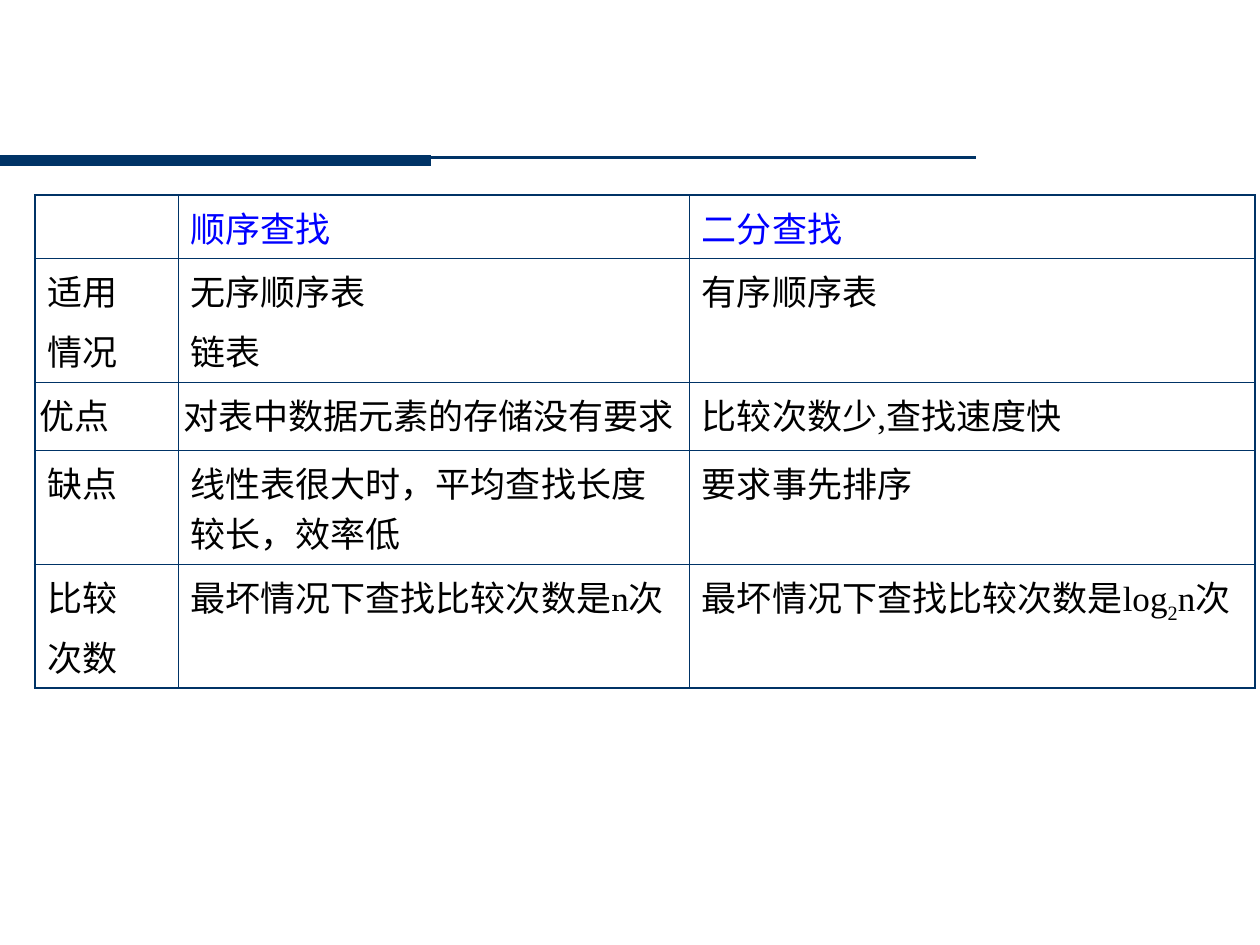
from lxml.etree import SubElement
from pptx import Presentation
from pptx.dml.color import RGBColor
from pptx.enum.shapes import MSO_CONNECTOR
from pptx.oxml.ns import qn
from pptx.util import Cm, Pt

NAVY = RGBColor(0x00, 0x33, 0x66)
BLUE = RGBColor(0x00, 0x00, 0xFF)
BLACK = RGBColor(0x00, 0x00, 0x00)
THIN, THICK = Pt(0.45), Pt(1.08)
HAN = "Noto Sans CJK SC"


def add_edge(props, side, width):
    """Give a table cell one solid navy border."""
    edge = SubElement(props, qn("a:ln" + side), w=str(width))
    fill = SubElement(edge, qn("a:solidFill"))
    SubElement(fill, qn("a:srgbClr"), val=str(NAVY))


def add_run(para, text, face, color):
    run = para.add_run()
    run.text = text
    run.font.size = Pt(20)
    run.font.name = face
    run.font.color.rgb = color
    SubElement(run.font._element, qn("a:ea"), typeface=HAN)
    return run


deck = Presentation()
deck.slide_width, deck.slide_height = Cm(25.4), Cm(19.05)
slide = deck.slides.add_slide(deck.slide_layouts[6])

# Rules under the title area: end, height, weight
for end, top, weight in [(19.68, 3.18, 1.5), (8.68, 3.24, 6)]:
    rule = slide.shapes.add_connector(
        MSO_CONNECTOR.STRAIGHT, Cm(0), Cm(top), Cm(end), Cm(top))
    rule.line.color.rgb = NAVY
    rule.line.width = Pt(weight)
    SubElement(rule._element.spPr, qn("a:effectLst"))

# Each cell is a list of paragraphs, each paragraph a list of runs
rows = [
    [[], [["顺序查找"]], [["二分查找"]]],
    [[["适用"], ["情况"]], [["无序顺序表"], ["链表"]], [["有序顺序表"]]],
    [[["优点"]], [["对表中数据元素的存储没有要求"]], [["比较次数少,查找速度快"]]],
    [[["缺点"]], [["线性表很大时，平均查找长度较长，效率低"]], [["要求事先排序"]]],
    [[["比较"], ["次数"]], [["最坏情况下查找比较次数是n次"]],
     [["最坏情况下查找比较次数是log", "2", "n次"]]],
]
widths = [2.89, 10.31, 11.4]
heights = [1.12, 2.13, 1.37, 2.03, 2.46]
table = slide.shapes.add_table(
    len(rows), len(widths), Cm(0.7), Cm(3.93),
    Cm(sum(widths)), Cm(sum(heights))).table
table.first_row = table.horz_banding = False
for col, width in zip(table.columns, widths):
    col.width = Cm(width)
for row, height in zip(table.rows, heights):
    row.height = Cm(height)

for r, row in enumerate(rows):
    for c, paras in enumerate(row):
        cell = table.cell(r, c)
        tight = r == 2 and c < 2
        cell.margin_left = cell.margin_right = Cm(0.1 if tight else 0.25)
        cell.margin_top = cell.margin_bottom = Cm(0.13)

        props = cell._tc.get_or_add_tcPr()
        outer = {"L": c == 0, "R": c == len(widths) - 1,
                 "T": r == 0, "B": r == len(rows) - 1}
        for side, is_outer in outer.items():
            add_edge(props, side, THICK if is_outer else THIN)
        cell.fill.background()

        face = "DejaVu Sans" if r == 0 else "Times New Roman"
        color = BLUE if r == 0 else BLACK
        frame = cell.text_frame
        for i, runs in enumerate(paras):
            para = frame.add_paragraph() if i else frame.paragraphs[0]
            if i:
                para.space_before = Pt(5)
            for text in runs:
                run = add_run(para, text, face, color)
                if text == "2":
                    run.font._element.set("baseline", "-25000")

deck.save("out.pptx")
